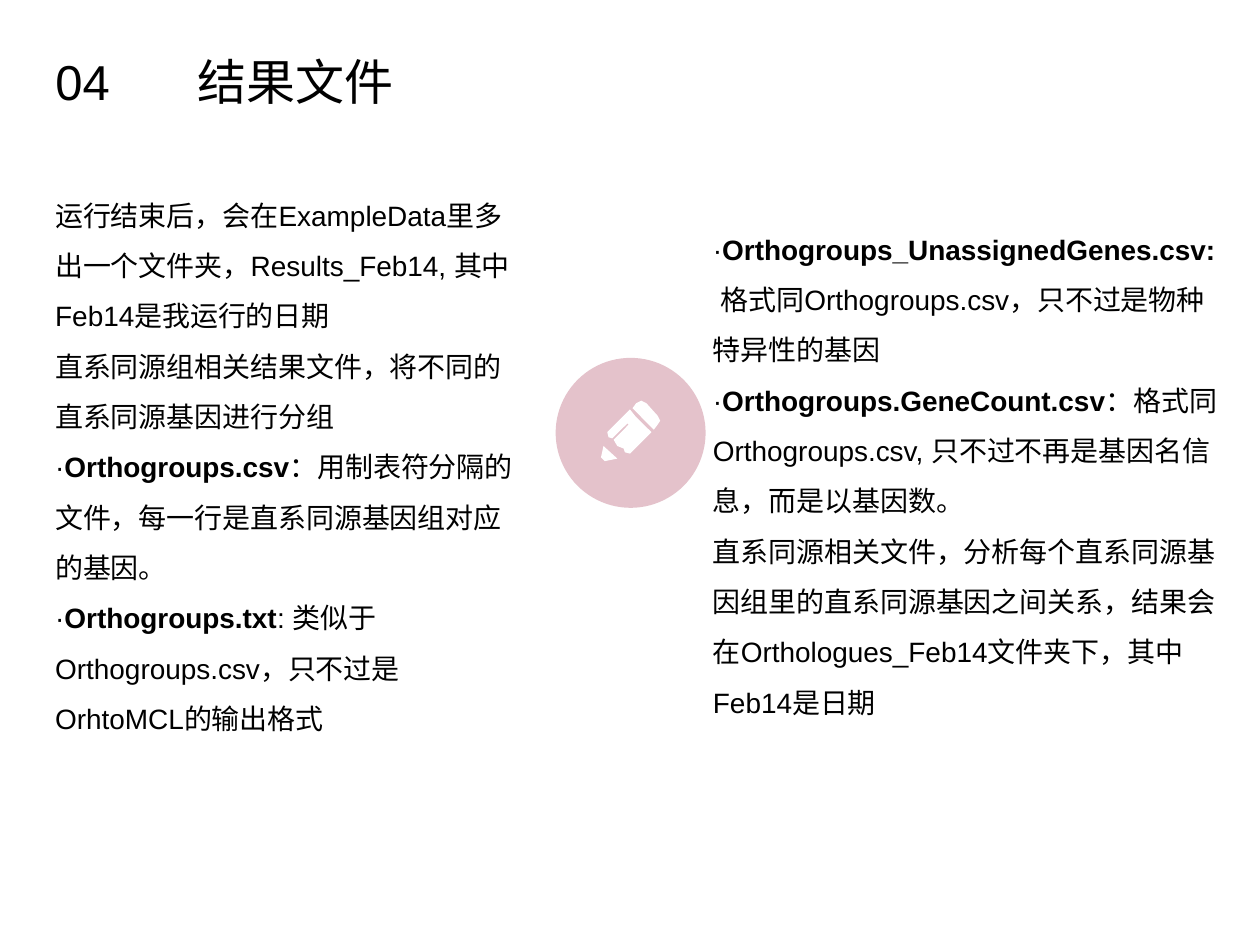
from pptx import Presentation
from pptx.dml.color import RGBColor
from pptx.enum.shapes import MSO_SHAPE as Preset
from pptx.enum.text import MSO_ANCHOR as Anchor, MSO_AUTO_SIZE as AutoSize, PP_ALIGN as Align
from pptx.oxml.ns import qn
from pptx.util import Inches, Pt
from lxml.etree import SubElement

COLUMNS, ROWS = 100, 75
BLACK, WHITE, PINK = "000000", "FFFFFF", "E4C2CB"
LATIN, CHINESE = "Arial", "Noto Sans CJK SC"
HARD_SPACE = chr(160)

LEFT_TEXT = [
    [(f"运行结束后，会在ExampleData里多出一个文件夹，Results_Feb14,{HARD_SPACE}其中Feb14是我运行的日期", False)],
    [("直系同源组相关结果文件，将不同的直系同源基因进行分组", False)],
    [("·", False), ("Orthogroups.csv", True),
     ("：用制表符分隔的文件，每一行是直系同源基因组对应的基因。", False)],
    [("·", False), ("Orthogroups.txt", True),
     (f":{HARD_SPACE}类似于Orthogroups.csv，只不过是OrhtoMCL的输出格式", False)],
]
RIGHT_TEXT = [
    [("·", False), (f"Orthogroups_UnassignedGenes.csv:{HARD_SPACE}", True),
     ("格式同Orthogroups.csv，只不过是物种特异性的基因", False)],
    [("·", False), ("Orthogroups.GeneCount.csv", True),
     (f"：格式同Orthogroups.csv,{HARD_SPACE}只不过不再是基因名信息，而是以基因数。", False)],
    [("直系同源相关文件，分析每个直系同源基因组里的直系同源基因之间关系，"
      "结果会在Orthologues_Feb14文件夹下，其中Feb14是日期", False)],
]
ERASER = [(51.9, 34.1), (52.2, 33.7), (52.4, 33.4), (52.2, 33), (51.3, 32),
          (50.9, 31.8), (50.5, 32), (50.2, 32.4)]
BARREL = [(50.4, 33), (51.7, 34.3), (50, 36), (49.6, 35.9), (49.5, 35.6), (49, 35.4),
          (48.7, 34.9), (49.9, 33.7), (49.8, 33.6), (48.6, 34.8), (48.3, 34.7),
          (48.2, 34.3), (50, 32.5)]
TIP = [(47.9, 35.4), (47.7, 36.3), (48, 36.6), (49, 36.4)]


def color(value):
    """Turn a hex string into a colour."""
    return RGBColor.from_string(value)


def write(paragraph, text, size=16, bold=False, font=LATIN, fill=BLACK):
    """Add one formatted run of text to a paragraph."""
    run = paragraph.add_run()
    run.text = text
    run.font.size, run.font.bold, run.font.name = Pt(size), bold, font
    run.font.color.rgb = color(fill)
    SubElement(run.font._element, qn("a:ea")).set("typeface", font)


class Page:
    """Hold the grid, the style and the current slide."""

    def __init__(self, presentation):
        """Open a title-only slide on the grid."""
        self.column = presentation.slide_width / COLUMNS
        self.row = presentation.slide_height / ROWS
        self.slide = presentation.slides.add_slide(presentation.slide_layouts[5])

    def point(self, x, y):
        """Convert a grid point to slide lengths."""
        return round(x * self.column), round(y * self.row)

    def paint(self, shape, fill):
        """Give a shape a plain fill without line or shadow."""
        shape.shadow.inherit = False
        shape.fill.solid()
        shape.fill.fore_color.rgb = color(fill)
        shape.line.fill.background()

    def frame(self, shape, wrap, anchor):
        """Set how a shape holds its text."""
        frame = shape.text_frame
        frame.auto_size = AutoSize.NONE
        frame.word_wrap, frame.vertical_anchor = wrap, anchor
        return frame

    def title(self, text, x, y, width, height):
        """Place and fill the title."""
        shape = self.slide.shapes.title
        shape.left, shape.top = self.point(x, y)
        shape.width, shape.height = self.point(width, height)
        paragraph = self.frame(shape, True, Anchor.MIDDLE).paragraphs[0]
        paragraph.alignment = Align.LEFT
        write(paragraph, text, size=28, font=CHINESE)

    def number(self, text, x, y, width, height):
        """Add the section number."""
        box = self.slide.shapes.add_textbox(*self.point(x, y), *self.point(width, height))
        paragraph = self.frame(box, False, Anchor.MIDDLE).paragraphs[0]
        paragraph.alignment = Align.CENTER
        write(paragraph, text, size=28)

    def body(self, paragraphs, x, y, width, height):
        """Add a text column made of paragraphs of (text, bold) runs."""
        box = self.slide.shapes.add_textbox(*self.point(x, y), *self.point(width, height))
        frame = self.frame(box, True, Anchor.TOP)
        for index, runs in enumerate(paragraphs):
            paragraph = frame.add_paragraph() if index else frame.paragraphs[0]
            paragraph.line_spacing = 1.5
            for text, bold in runs:
                write(paragraph, text, bold=bold)

    def circle(self, x, y, size, fill):
        """Add a filled circle."""
        shape = self.slide.shapes.add_shape(Preset.OVAL, *self.point(x, y), *self.point(size, size))
        self.paint(shape, fill)

    def outline(self, contours, fill):
        """Add one filled freeform made of closed contours."""
        builder = self.slide.shapes.build_freeform(*self.point(*contours[0][0]))
        for index, contour in enumerate(contours):
            start, *rest = [self.point(*corner) for corner in contour]
            if index:
                builder.move_to(*start)
            builder.add_line_segments(rest, close=True)
        self.paint(builder.convert_to_shape(), fill)


def main():
    """Build the results slide."""
    presentation = Presentation()
    presentation.slide_width, presentation.slide_height = Inches(10), Inches(7.5)
    page = Page(presentation)
    page.circle(44.1, 28.4, 11.9, PINK)
    page.outline([ERASER, BARREL, TIP], WHITE)
    page.title("结果文件", 14.7, 3.6, 20, 5.7)
    page.number("04", 3.4, 3.6, 6.3, 5.7)
    page.body(LEFT_TEXT, 3.4, 13.9, 39, 45)
    page.body(RIGHT_TEXT, 55.6, 16.6, 42.1, 40.7)
    presentation.save("out.pptx")


if __name__ == "__main__":
    main()
